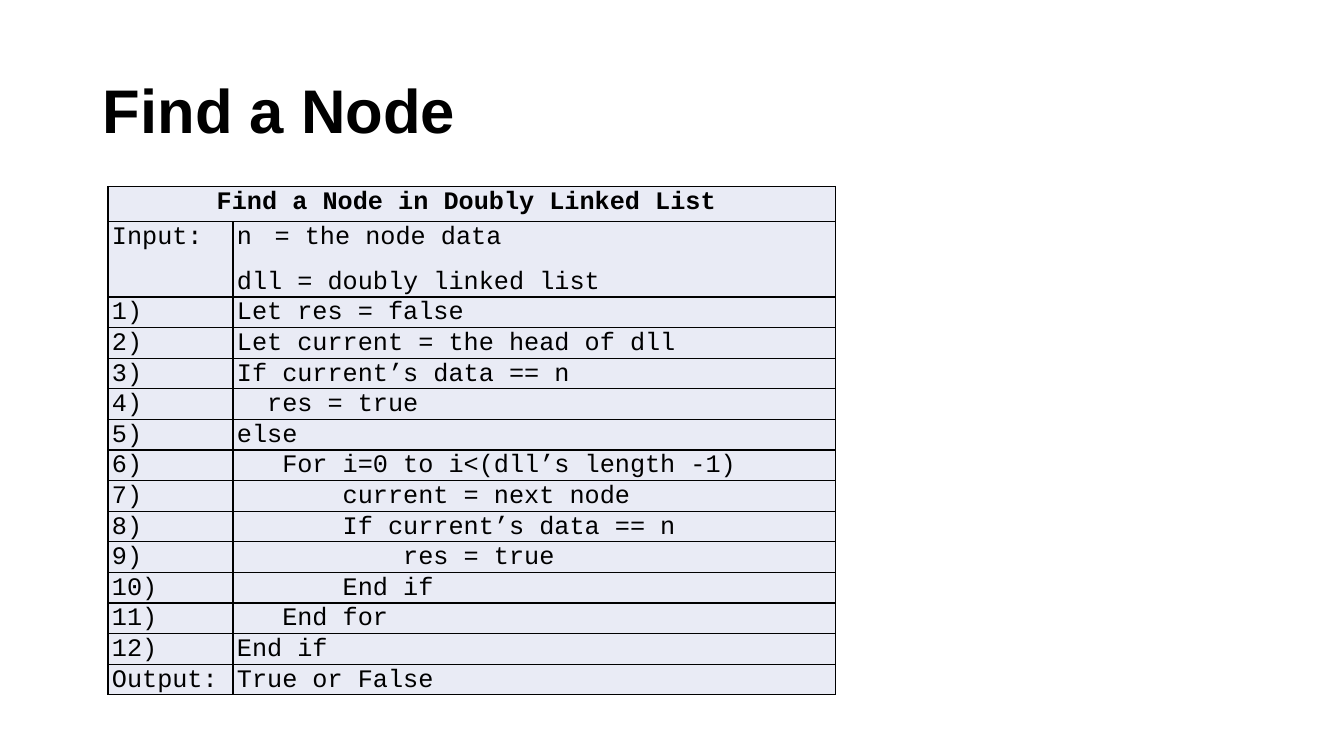
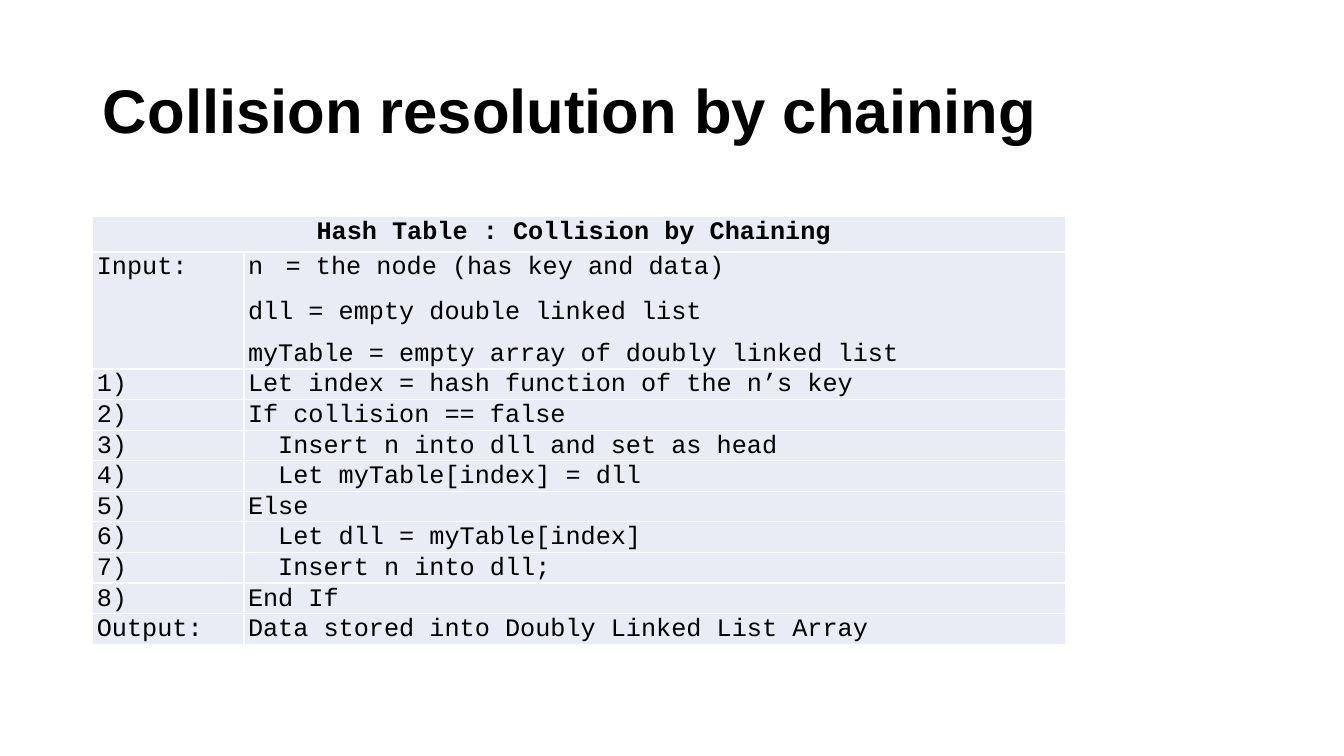
"""Build two slides of pseudocode tables."""
import pptx
import pptx.dml.color
import pptx.enum.text
import pptx.oxml.xmlchemy
import pptx.util

Cm = pptx.util.Cm
Pt = pptx.util.Pt
Align = pptx.enum.text.PP_ALIGN
Anchor = pptx.enum.text.MSO_ANCHOR

HUES = {"ink": "000000", "cell": "E9EBF5", "white": "FFFFFF"}
SANS, MONO = "Arial", "Courier New"
HEAD, ROW, GAP = 0.89, 0.76, 0.3

FIND = {
    "title": "Find a Node",
    "head": "Find a Node in Doubly Linked List ",
    "input": ["n\t= the node data", "dll = doubly linked list"],
    "steps": [
        "Let res = false",
        "Let current = the head of dll",
        "If current’s data == n",
        "  res = true",
        "else",
        "   For i=0 to i<(dll’s length -1)",
        "       current = next node",
        "       If current’s data == n",
        "           res = true",
        "       End if",
        "   End for",
        "End if",
    ],
    "output": "True or False",
}
CHAIN = {
    "title": "Collision resolution by chaining",
    "head": "Hash Table : Collision by Chaining ",
    "input": [
        "n\t= the node (has key and data)",
        "dll = empty double linked list",
        "myTable = empty array of doubly linked list",
    ],
    "steps": [
        "Let index = hash function of the n’s key",
        "If collision == false",
        "  Insert n into dll and set as head",
        "  Let myTable[index] = dll",
        "Else",
        "  Let dll = myTable[index]",
        "  Insert n into dll;",
        "End If",
    ],
    "output": "Data stored into Doubly Linked List Array",
}


def make(parent, tag, **attrs):
    item = pptx.oxml.xmlchemy.OxmlElement(tag)
    for key, value in attrs.items():
        item.set(key, str(value))
    parent.append(item)
    return item


def write(frame, lines, font=MONO, size=18, bold=False, align=Align.LEFT,
          lead=1.07, after=8, tab=0.95):
    for pos, line in enumerate(lines):
        para = frame.add_paragraph() if pos else frame.paragraphs[0]
        tabbed = "\t" in line
        if tabbed:
            stops = make(para._p.get_or_add_pPr(), "a:tabLst")
            make(stops, "a:tab", pos=Cm(tab), algn="l")
        para.alignment = align
        para.line_spacing = lead
        para.space_before = Pt(0)
        para.space_after = Pt(after + 2 if tabbed else after)
        run = para.add_run()
        run.text = line
        run.font.name = font
        run.font.size = Pt(size)
        run.font.bold = bold
        run.font.color.rgb = pptx.dml.color.RGBColor.from_string(HUES["ink"])


def edge(cell, hue):
    props = cell._tc.get_or_add_tcPr()
    for side in "LRTB":
        line = make(props, f"a:ln{side}", w=Pt(1))
        make(make(line, "a:solidFill"), "a:srgbClr", val=HUES[hue])


def style(cell, hue):
    edge(cell, hue)
    cell.fill.solid()
    cell.fill.fore_color.rgb = pptx.dml.color.RGBColor.from_string(HUES["cell"])
    cell.margin_left = Cm(0.1)
    cell.margin_right = cell.margin_top = cell.margin_bottom = 0


def title(slide, text, left, top, width, height):
    shape = slide.shapes.title
    shape.left, shape.top = Cm(left), Cm(top)
    shape.width, shape.height = Cm(width), Cm(height)
    shape.text_frame.vertical_anchor = Anchor.MIDDLE
    write(shape.text_frame, [text], font=SANS, size=44, bold=True,
          lead=0.9, after=0)


def grid(slide, data, left, top, widths, hue):
    rows = [("Input:", data["input"])]
    rows += [(f"{num})", [step]) for num, step in enumerate(data["steps"], 1)]
    rows.append(("Output:", [data["output"]]))
    tall = [HEAD] + [len(lines) * (ROW + GAP) - GAP for _, lines in rows]
    table = slide.shapes.add_table(
        len(tall), len(widths), Cm(left), Cm(top),
        Cm(sum(widths)), Cm(sum(tall))).table
    table.first_row = table.horz_banding = False
    for col, width in zip(table.columns, widths):
        col.width = Cm(width)
    for row, height in zip(table.rows, tall):
        row.height = Cm(height)
    for cell in table.iter_cells():
        style(cell, hue)
    first = table.cell(0, 0)
    first.merge(table.cell(0, 1))
    write(first.text_frame, [data["head"]], bold=True, align=Align.CENTER)
    for num, (label, lines) in enumerate(rows, 1):
        write(table.cell(num, 0).text_frame, [label])
        write(table.cell(num, 1).text_frame, lines)


def page(deck, data, **place):
    slide = deck.slides.add_slide(deck.slide_layouts[5])
    title(slide, data["title"], 2.34, 1.02, 29.2, 3.68)
    grid(slide, data, **place)


def main():
    deck = pptx.Presentation()
    deck.slide_width, deck.slide_height = Cm(33.87), Cm(19.05)
    page(deck, FIND, left=2.72, top=4.7, widths=(3.15, 15.19), hue="ink")
    page(deck, CHAIN, left=2.34, top=5.46, widths=(3.81, 20.7), hue="white")
    deck.save("out.pptx")


if __name__ == "__main__":
    main()
